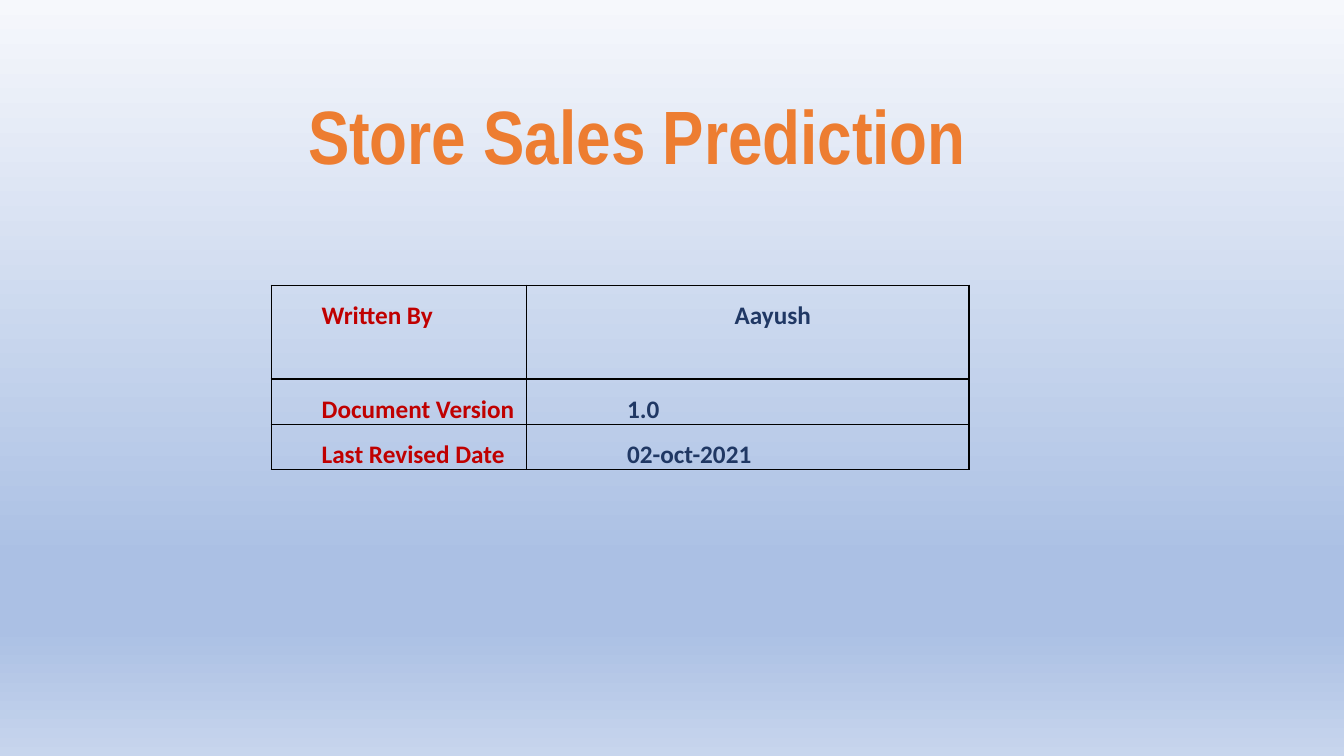
from lxml import etree
from pptx import Presentation
from pptx import util as u
from pptx.dml.color import RGBColor
from pptx.enum import text
from pptx.oxml import ns

ORANGE = RGBColor(0xED, 0x7D, 0x31)
RED = RGBColor(0xC0, 0x00, 0x00)
NAVY = RGBColor(0x20, 0x38, 0x64)
BLACK = RGBColor(0x00, 0x00, 0x00)
PALE = RGBColor(0xF6, 0xF8, 0xFC)
BLUE = RGBColor(0xAB, 0xC0, 0xE4)
LIGHT_BLUE = RGBColor(0xC7, 0xD5, 0xED)

JUSTIFY = text.PP_ALIGN.JUSTIFY
CENTER = text.PP_ALIGN.CENTER
MARGINS = ("margin_left", "margin_top", "margin_right", "margin_bottom")


def set_all(target, values):
    for name, value in values.items():
        setattr(target, name, value)


def add_color(parent, color):
    """Put a solid colour element inside a fill or gradient stop."""
    etree.SubElement(parent, ns.qn("a:srgbClr"), val=str(color))


class CoverSlide:
    def __init__(self, deck):
        self.slide = deck.slides.add_slide(deck.slide_layouts[6])
        self.title_font = {"name": "Arial Narrow", "size": u.Pt(54), "bold": True}
        self.cell_font = {"name": "Calibri", "size": u.Pt(18), "bold": True}
        self.cell_spacing = {"line_spacing": 1.5, "space_before": u.Pt(0.1)}
        self.border_width = u.Pt(1)

    def background(self, stops):
        """Fill the slide from top to bottom with (percent, colour) stops."""
        fill = self.slide.background.fill
        fill.gradient()
        fill.gradient_angle = 270
        stop_list = self.slide.element.find(".//" + ns.qn("a:gsLst"))
        for old_stop in list(stop_list):
            stop_list.remove(old_stop)
        for percent, color in stops:
            stop = etree.SubElement(stop_list, ns.qn("a:gs"), pos=str(percent * 1000))
            add_color(stop, color)

    def add_words(self, para, words, font, color, spacing):
        set_all(para, spacing)
        span = para.add_run()
        span.text = words
        set_all(span.font, font)
        span.font.color.rgb = color

    def title(self, words, left, top, width, height):
        box = self.slide.shapes.add_textbox(*map(u.Inches, (left, top, width, height)))
        frame = box.text_frame
        set_all(frame, {"word_wrap": True, "vertical_anchor": text.MSO_ANCHOR.BOTTOM})
        self.add_words(frame.paragraphs[0], words, self.title_font, ORANGE,
                       {"alignment": CENTER, "line_spacing": 0.9})

    def cell(self, cell, words, color, align, indent):
        set_all(cell, dict.fromkeys(MARGINS, 0))
        para = cell.text_frame.paragraphs[0]
        spacing = {"alignment": align, "level": 0 if align == CENTER else 1}
        self.add_words(para, words, self.cell_font, color, self.cell_spacing | spacing)
        properties = para._p.get_or_add_pPr()
        properties.set("marL", str(u.Inches(indent)))
        properties.set("indent", "0")
        self.borders(cell)
        cell.fill.background()

    def borders(self, cell):
        properties = cell._tc.get_or_add_tcPr()
        for side in ("a:lnL", "a:lnR", "a:lnT", "a:lnB"):
            line = etree.SubElement(properties, ns.qn(side), w=str(self.border_width))
            add_color(etree.SubElement(line, ns.qn("a:solidFill")), BLACK)

    def table(self, rows, left, top, widths, heights):
        """Each row is (label, value, value alignment, value indent)."""
        place = map(u.Inches, (left, top, sum(widths), sum(heights)))
        table = self.slide.shapes.add_table(len(rows), len(widths), *place).table
        set_all(table, {"first_row": False, "horz_banding": False})
        for column, width in zip(table.columns, widths):
            column.width = u.Inches(width)
        for row, height in zip(table.rows, heights):
            row.height = u.Inches(height)
        for index, (label, value, align, indent) in enumerate(rows):
            self.cell(table.cell(index, 0), label, RED, JUSTIFY, 0.5)
            self.cell(table.cell(index, 1), value, NAVY, align, indent)


def main():
    deck = Presentation()
    set_all(deck, {"slide_width": u.Inches(13.33), "slide_height": u.Inches(7.5)})
    cover = CoverSlide(deck)
    cover.background([(0, PALE), (74, BLUE), (83, BLUE), (100, LIGHT_BLUE)])
    cover.title("Store Sales Prediction", 1.32, 0.87, 10, 0.97)
    cover.table(
        [
            ("Written By", "Aayush", CENTER, 0.5),
            ("Document Version", "1.0", JUSTIFY, 1),
            ("Last Revised Date", "02-oct-2021", JUSTIFY, 1),
        ],
        2.69, 2.83, widths=(2.53, 4.39), heights=(0.93, 0.44, 0.44),
    )
    deck.save("out.pptx")


if __name__ == "__main__":
    main()
